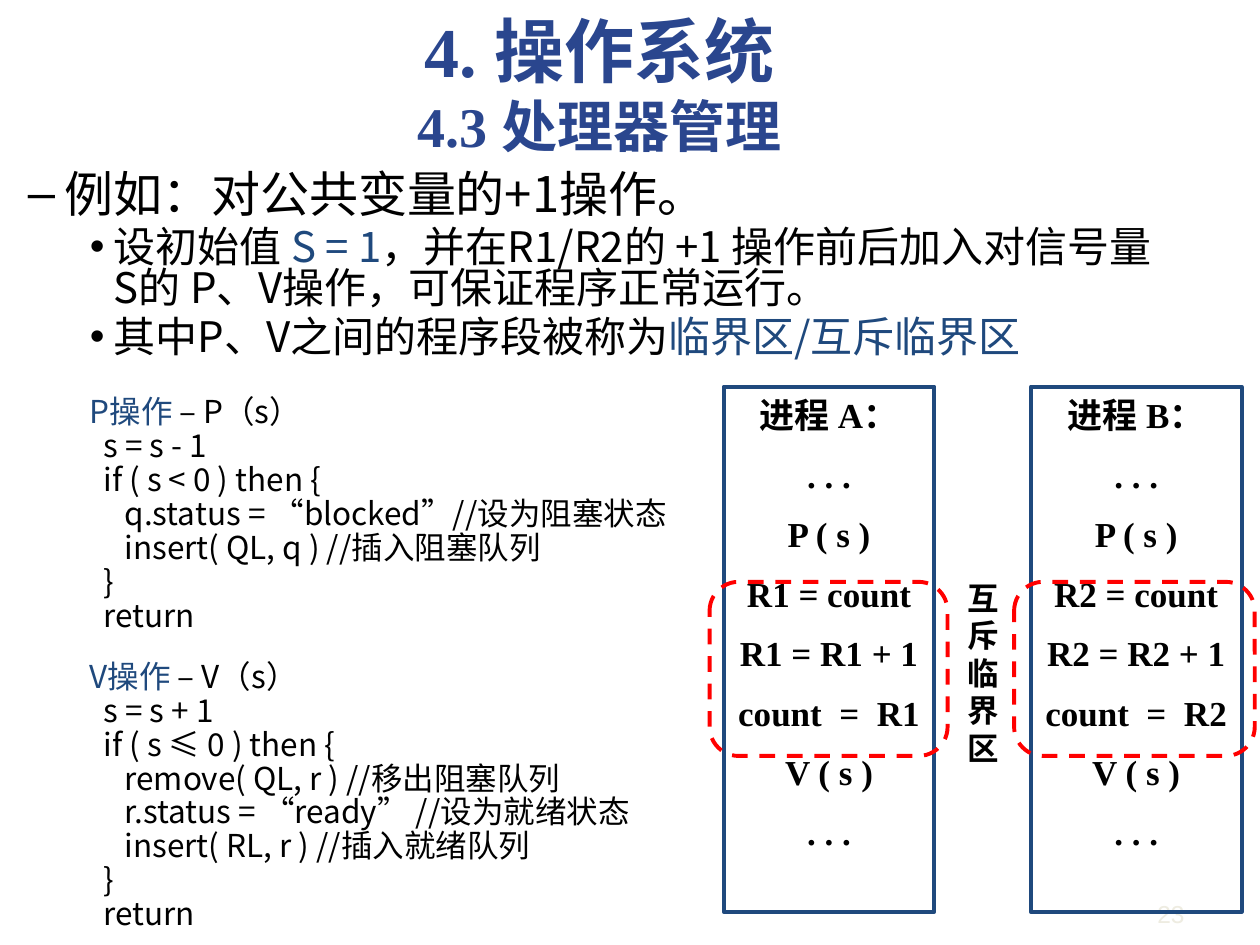
from dataclasses import dataclass

from lxml import etree
from pptx import Presentation
from pptx.dml.color import RGBColor
from pptx.enum import dml, shapes, text
from pptx.oxml.ns import qn
from pptx.util import Pt

COLORS = {"title": "2A468E", "accent": "1F497D", "ink": "000000",
          "critical": "FF0000", "number": "EEECE1"}
SANS, SERIF = "Noto Sans CJK SC", "Times New Roman"


@dataclass
class Line:
    """A body paragraph; runs holds (words, colour name) pairs."""
    runs: list
    size: float = 18
    pitch: float = 19.4
    before: float = 0
    left: float = 64
    hang: float = 0
    bullet: str = ""
    level: int = 2


@dataclass
class Process:
    name: str
    register: str
    left: float
    frame_left: float
    frame_width: float


def bullet_line(*runs) -> Line:
    return Line(list(runs), 24, 23.4, 4.5, 77.8, 13.7, "•")


def heading(operation: str, signature: str, before: float) -> Line:
    return Line([(operation, "accent"), (signature, "ink")], before=before)


def code(words: str, depth: int = 1) -> Line:
    return Line([(words, "ink")], left=64 + (0, 8, 20)[depth])


BODY = [
    Line([("例如：对公共变量的+1操作。", "ink")], 28, 29, 0, 49.7, 20.9, "–", 1),
    bullet_line(("设初始值 ", "ink"), ("S = 1", "accent"),
                ("，并在R1/R2的 +1 操作前后加入对信号量S的 P、V操作，可保证程序正常运行。", "ink")),
    bullet_line(("其中P、V之间的程序段被称为", "ink"), ("临界区/互斥临界区", "accent")),
    heading("P操作", " – P（s）", 20),
    code("s = s - 1"),
    code("if ( s < 0 ) then {"),
    code("q.status = “blocked”//设为阻塞状态", 2),
    code("insert( QL, q ) //插入阻塞队列", 2),
    code("}"),
    code("return"),
    heading("V操作", " – V（s）", 15.4),
    code("s = s + 1"),
    code("if ( s ≤ 0 ) then {"),
    code("remove( QL, r ) //移出阻塞队列", 2),
    code("r.status = “ready” //设为就绪状态", 2),
    code("insert( RL, r ) //插入就绪队列", 2),
    code("}"),
    code("return"),
]
PROCESSES = [Process("A", "R1", 413.5, 405.5, 136),
             Process("B", "R2", 589, 579.5, 137.5)]


def add_run(p, words: str, size: float, color: str, font: str = SANS,
            bold: bool = False) -> None:
    r = p.add_run()
    r.text = words
    r.font.size, r.font.bold, r.font.name = Pt(size), bold, font
    r.font.color.rgb = RGBColor.from_string(COLORS[color])
    if font != "Arial":
        ea = etree.SubElement(r.font._element, qn("a:ea"))
        ea.set("typeface", SANS)


def place(sp, left: float, top: float, width: float, height: float) -> None:
    sp.left, sp.top, sp.width, sp.height = map(Pt, (left, top, width, height))


def next_paragraph(tf, first: bool):
    return tf.paragraphs[0] if first else tf.add_paragraph()


def add_body_line(p, line: Line) -> None:
    p.level = line.level
    p.line_spacing, p.space_before = Pt(line.pitch), Pt(line.before)
    pPr = p._p.get_or_add_pPr()
    pPr.set("marL", str(Pt(line.left)))
    pPr.set("indent", str(Pt(-line.hang)))
    if line.bullet:
        etree.SubElement(pPr, qn("a:buFont")).set("typeface", "Arial")
        etree.SubElement(pPr, qn("a:buChar")).set("char", line.bullet)
    else:
        etree.SubElement(pPr, qn("a:buNone"))
    for words, color in line.runs:
        add_run(p, words, line.size, color)


def add_outline(slide, kind, box: tuple, color: str):
    sp = slide.shapes.add_shape(kind, *map(Pt, box))
    sp.shadow.inherit = False
    sp.fill.background()
    sp.line.color.rgb = RGBColor.from_string(COLORS[color])
    sp.line.width = Pt(2.25)
    return sp


def add_process(slide, process: Process) -> None:
    sp = add_outline(slide, shapes.MSO_SHAPE.RECTANGLE,
                     (process.left, 221, 120.5, 300), "accent")
    tf = sp.text_frame
    tf.vertical_anchor, tf.margin_top = text.MSO_ANCHOR.TOP, Pt(5)
    reg = process.register
    steps = [f"进程 {process.name}：", ". . .", "P ( s )", f"{reg} = count",
             f"{reg} = {reg} + 1", f"count  =  {reg}", "V ( s )", ". . ."]
    for i, step in enumerate(steps):
        p = next_paragraph(tf, i == 0)
        p.alignment = text.PP_ALIGN.CENTER
        p.line_spacing, p.space_before = Pt(23), Pt(11 if i else 0)
        add_run(p, step, 20, "ink", SERIF, True)


def add_critical_frame(slide, process: Process) -> None:
    sp = add_outline(slide, shapes.MSO_SHAPE.ROUNDED_RECTANGLE,
                     (process.frame_left, 332.5, process.frame_width, 99.5), "critical")
    sp.line.dash_style = dml.MSO_LINE.DASH


def add_textbox(slide, box: tuple, align):
    tf = slide.shapes.add_textbox(*map(Pt, box)).text_frame
    tf.word_wrap = True
    tf.paragraphs[0].alignment = align
    return tf


def main() -> None:
    prs = Presentation()
    prs.slide_width, prs.slide_height = Pt(720), Pt(540)
    slide = prs.slides.add_slide(prs.slide_layouts[1])
    title, body = slide.placeholders

    place(title, 36.5, 0, 612, 94.5)
    tf = title.text_frame
    tf.auto_size = text.MSO_AUTO_SIZE.NONE
    tf.vertical_anchor = text.MSO_ANCHOR.MIDDLE
    p = tf.paragraphs[0]
    p.alignment = text.PP_ALIGN.CENTER
    add_run(p, "4. 操作系统", 40, "title", SERIF, True)
    p.add_line_break()
    add_run(p, "4.3 处理器管理", 32, "title", SERIF, True)

    place(body, -20, 94.5, 692, 448)
    tf = body.text_frame
    tf.auto_size = text.MSO_AUTO_SIZE.NONE
    for i, line in enumerate(BODY):
        add_body_line(next_paragraph(tf, i == 0), line)

    tf = add_textbox(slide, (516, 507.5, 168, 29), text.PP_ALIGN.RIGHT)
    tf.vertical_anchor = text.MSO_ANCHOR.MIDDLE
    add_run(tf.paragraphs[0], "23", 14, "number", "Arial")

    for process in PROCESSES:
        add_process(slide, process)
    tf = add_textbox(slide, (546, 325.5, 31, 115), text.PP_ALIGN.CENTER)
    tf.margin_top = Pt(5.5)
    tf.paragraphs[0].line_spacing = Pt(21.4)
    add_run(tf.paragraphs[0], "互斥临界区", 18, "ink", SERIF, True)
    for process in PROCESSES:
        add_critical_frame(slide, process)

    prs.save("out.pptx")


if __name__ == "__main__":
    main()
